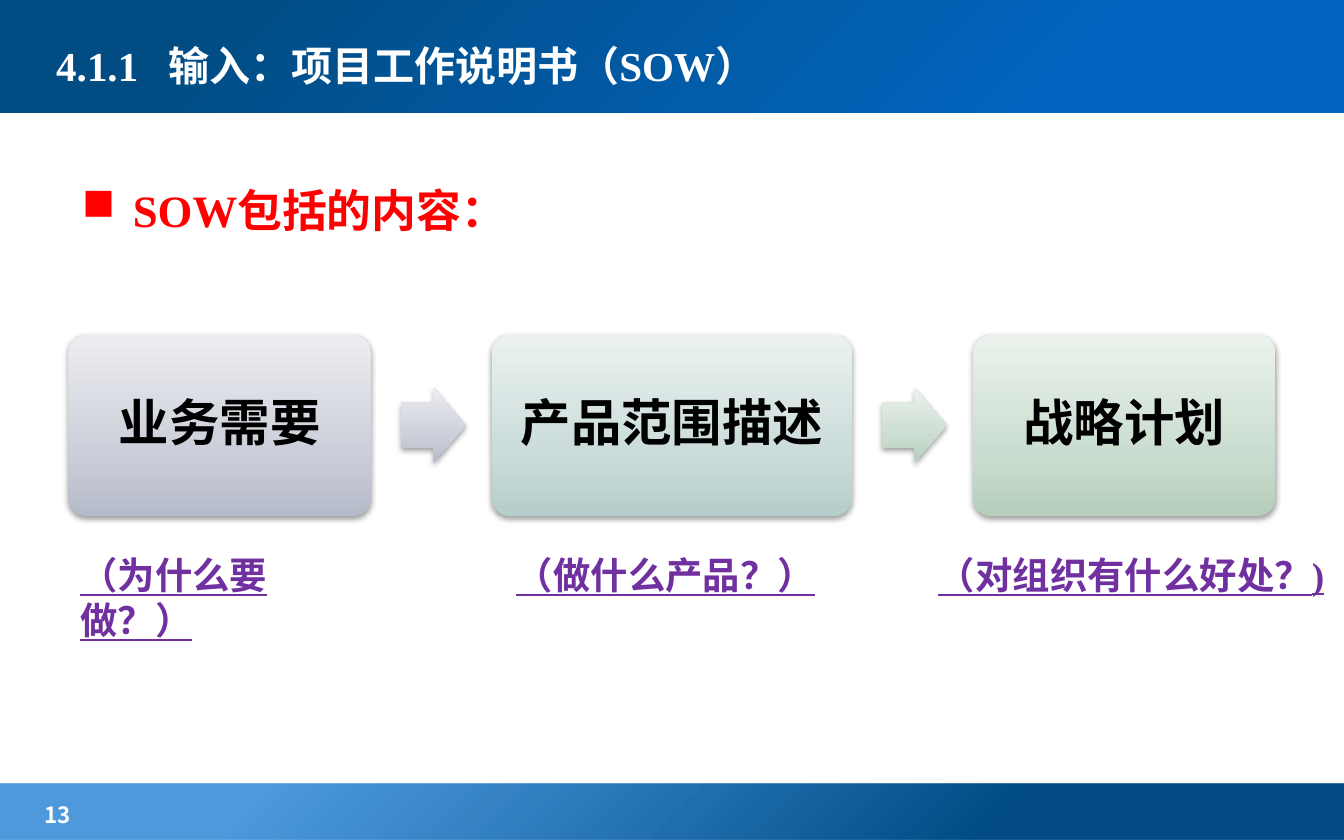
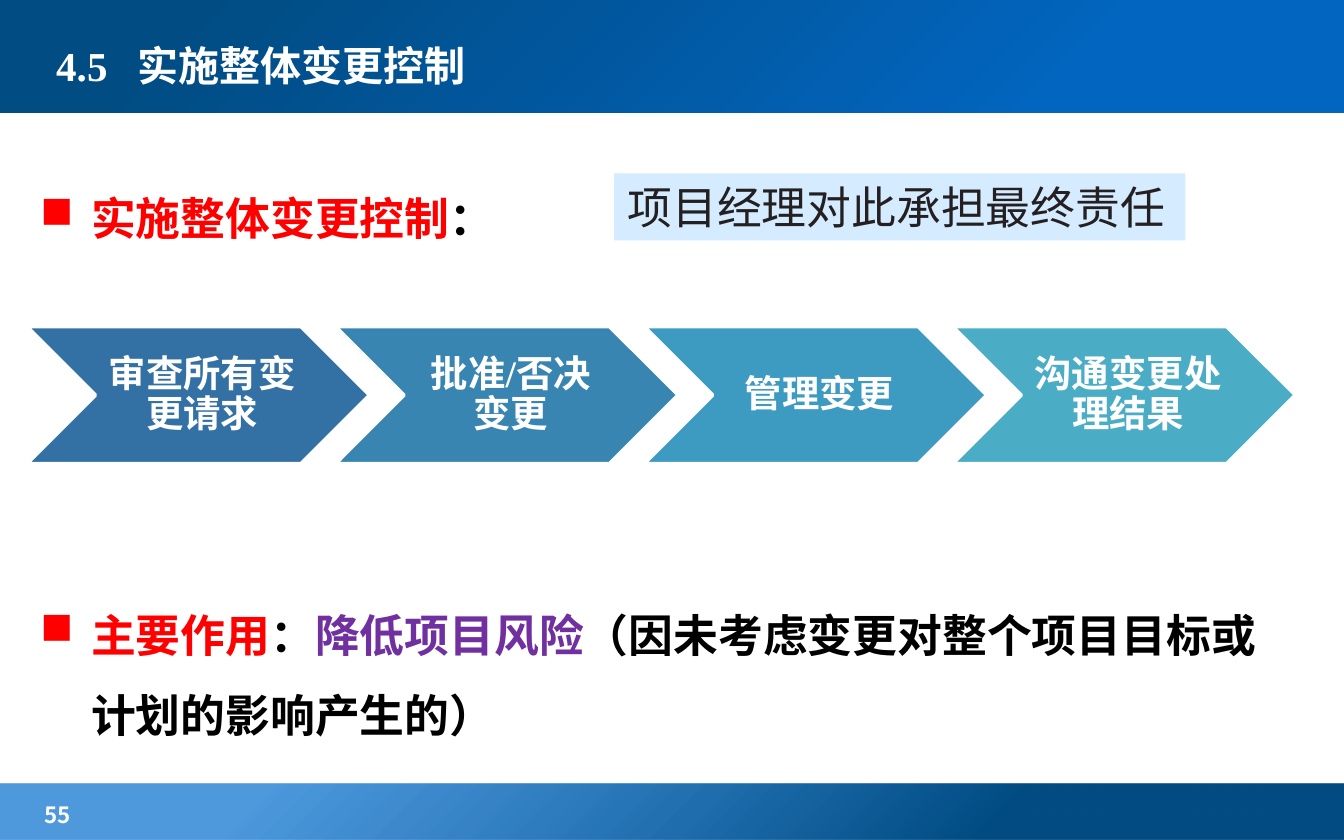
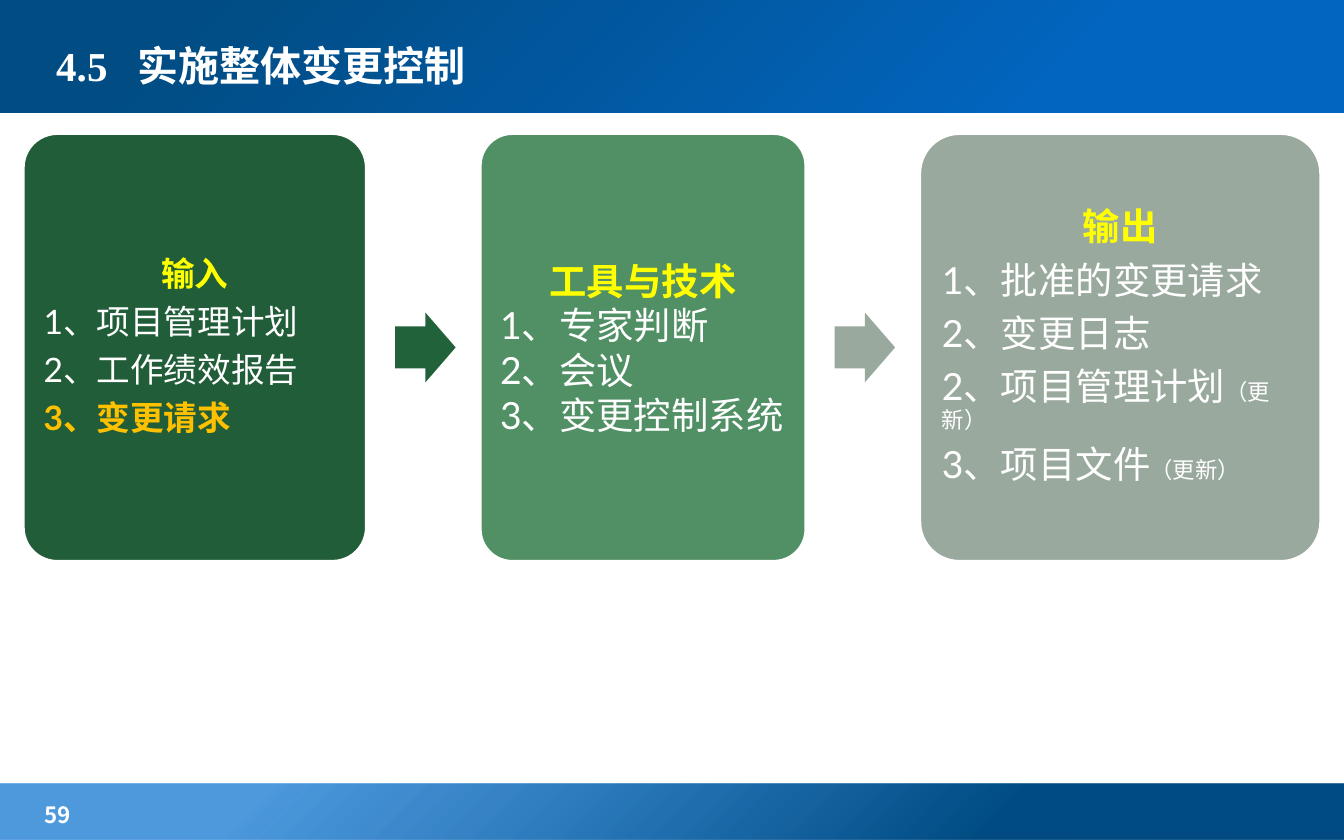
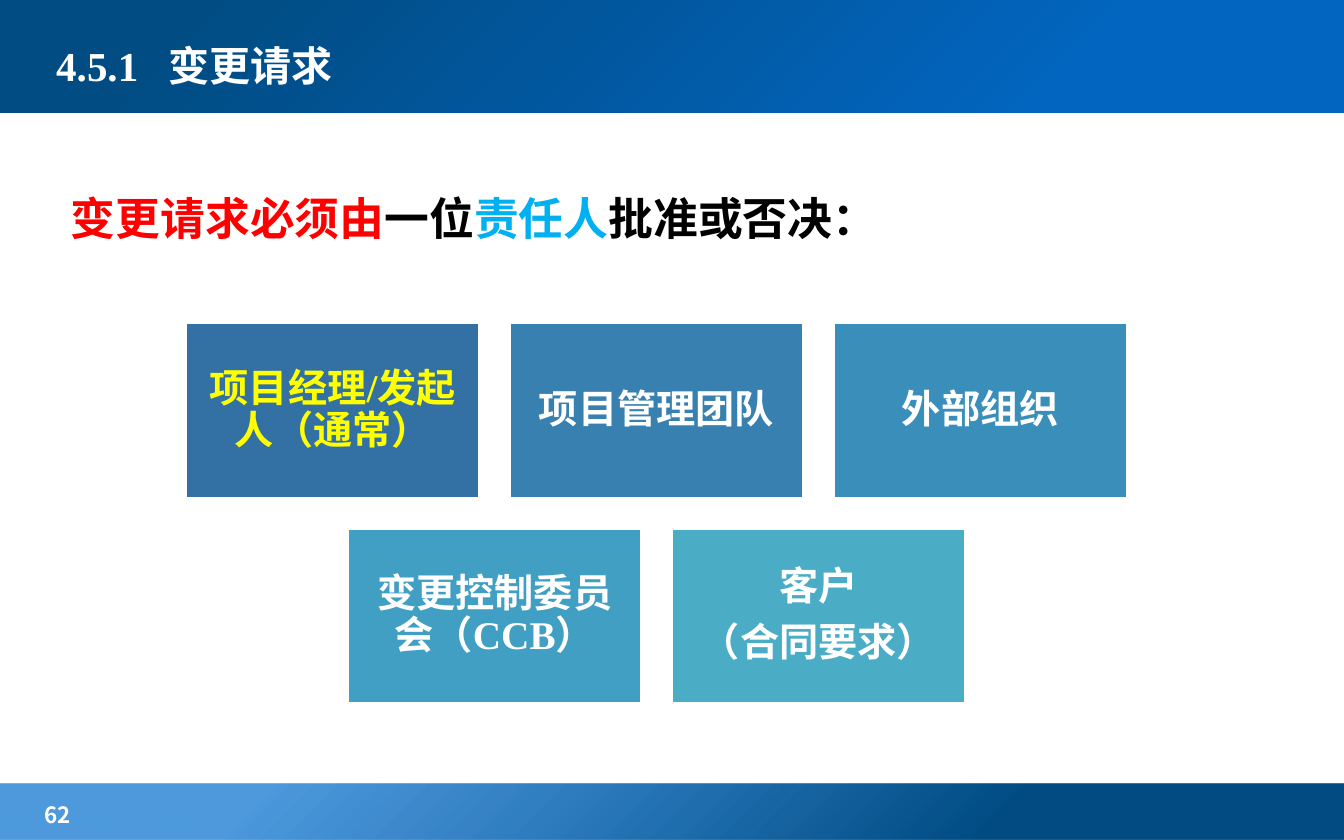
from dataclasses import dataclass

from pptx import Presentation
from pptx.dml.color import RGBColor
from pptx.enum.shapes import MSO_SHAPE as SHAPE
from pptx.enum.text import MSO_ANCHOR as ANCHOR, PP_ALIGN as ALIGN
from pptx.oxml import parse_xml
from pptx.oxml.ns import nsdecls, qn
from pptx.util import Inches, Pt

CELL = Inches(0.1)
COLS, ROWS = 100, 62.5
SERIF, SANS, LATO, CABIN = "Times New Roman", "Noto Sans CJK SC", "Lato", "Cabin"

C = {
    "white": "FFFFFF", "black": "000000", "red": "FF0000", "yellow": "FFFF00",
    "orange": "FFC000", "purple": "7030A0", "sky": "00B0F0", "ink": "242021",
    "navy": "014C83", "blue": "0265BF", "bright": "026DCE", "pale": "D5EBFF",
    "step1": "3371A4", "step2": "3885B2", "step3": "3D9AC1", "step4": "4BACC6",
    "tile2": "3780AF", "tile3": "3A8FBA", "tile4": "409FC3",
    "forest": "215D38", "forest_arrow": "22623B", "green": "519065",
    "grey": "9AA99E", "grey_arrow": "99A99D",
}
CORNER = '<a:path path="circle"><a:fillToRect l="100000" t="100000"/></a:path>'
UPWARD = '<a:lin ang="16200000" scaled="0"/>'
LILAC = [(0, "B6BBCA"), (35, "CCCFD9"), (100, "ECEDF1")]
TEAL = [(0, "B4CECB"), (35, "CBDCDA"), (100, "EBF2F1")]
MINT = [(0, "B5CFBB"), (35, "CBDDD0"), (100, "EBF2ED")]

LEFT = {"alignment": ALIGN.LEFT}
CENTRE = {"alignment": ALIGN.CENTER}
BODY = {"alignment": ALIGN.LEFT, "line_spacing": 1.5}


@dataclass
class Box:
    """A region measured in grid columns and rows."""
    x: float
    y: float
    w: float
    h: float

    def emu(self):
        """Return left, top, width and height as slide lengths."""
        return [int(v * CELL) for v in (self.x, self.y, self.w, self.h)]


def rgb(name):
    """Return the named palette colour."""
    return RGBColor.from_string(C[name])


def tight(align, size):
    """Return the diagram paragraph format for a text size."""
    return {"alignment": align, "line_spacing": 0.9, "space_after": Pt(0.35 * size)}


def write(tf, paras, anchor=ANCHOR.TOP, inset=None, **base):
    """Fill a text frame with (paragraph format, runs) pairs."""
    tf.word_wrap = True
    tf.vertical_anchor = anchor
    if inset is not None:
        for side in ("left", "top", "right", "bottom"):
            setattr(tf, f"margin_{side}", Inches(inset))
    for i, (para, runs) in enumerate(paras):
        p = tf.add_paragraph() if i else tf.paragraphs[0]
        for key, value in para.items():
            setattr(p, key, value)
        for text, changes in runs:
            r = p.add_run()
            r.text = text
            fmt = {"bold": True, "name": SERIF, **base, **changes}
            r.font.color.rgb = rgb(fmt.pop("color"))
            fmt["size"] = Pt(fmt["size"])
            for key, value in fmt.items():
                setattr(r.font, key, value)


def add_text(slide, box, paras, **fmt):
    """Add a text box and return its text frame."""
    tf = slide.shapes.add_textbox(*box.emu()).text_frame
    write(tf, paras, **fmt)
    return tf


def add_gradient(sp, stops, direction):
    """Give a shape a gradient of (position, hex, optional alpha) stops."""
    gs = "".join(
        f'<a:gs pos="{pos * 1000}"><a:srgbClr val="{color}">'
        + "".join(f'<a:alpha val="{a * 1000}"/>' for a in alpha)
        + "</a:srgbClr></a:gs>"
        for pos, color, *alpha in stops)
    sp.fill.background()
    spPr = sp._element.spPr
    spPr.replace(spPr.find(qn("a:noFill")), parse_xml(
        f'<a:gradFill {nsdecls("a")} rotWithShape="1"><a:gsLst>{gs}</a:gsLst>{direction}</a:gradFill>'))


def add_shadow(sp):
    """Add a soft shadow below a shape."""
    sp._element.spPr.find(qn("a:effectLst")).append(parse_xml(
        f'<a:outerShdw {nsdecls("a")} blurRad="40000" dist="20000" dir="5400000" rotWithShape="0">'
        '<a:srgbClr val="000000"><a:alpha val="38000"/></a:srgbClr></a:outerShdw>'))


def add_shape(slide, kind, box, fill, outline=False, adj=(), direction=UPWARD):
    """Add a preset shape with a palette colour or gradient stops as fill."""
    sp = slide.shapes.add_shape(kind, *box.emu())
    sp.shadow.inherit = False
    for i, value in enumerate(adj):
        sp.adjustments[i] = value
    if isinstance(fill, str):
        sp.fill.solid()
        sp.fill.fore_color.rgb = rgb(fill)
    else:
        add_gradient(sp, fill, direction)
    if outline:
        sp.line.color.rgb = rgb("white")
        sp.line.width = Pt(2)
    else:
        sp.line.fill.background()
    return sp


def add_bullet(p):
    """Give a paragraph a square bullet with a hanging indent."""
    pPr = p._p.get_or_add_pPr()
    pPr.set("marL", str(Inches(0.38)))
    pPr.set("indent", str(-Inches(0.38)))
    pPr.append(parse_xml(f'<a:buChar {nsdecls("a")} char="■"/>'))


def add_frame(prs, section, title, page, width=63.8):
    """Add a slide with its bands, title and page number."""
    slide = prs.slides.add_slide(prs.slide_layouts[6])
    add_shape(slide, SHAPE.RECTANGLE, Box(0, 58.3, COLS, ROWS - 58.3),
              [(26, C["navy"]), (80, C["bright"], 70)], direction=CORNER)
    add_shape(slide, SHAPE.RECTANGLE, Box(0, -0.3, COLS, 8.7),
              [(21, C["blue"]), (86, C["navy"])], direction=CORNER)
    tf = add_text(slide, Box(2, 59.1, 15.7, 2.6), [(LEFT, [(str(page), {})])],
                  size=12, name=SANS, color="white")
    tf.margin_left = Inches(0.13)
    tf = add_text(slide, Box(3.2, 1.3, width, 7.1), [(LEFT, [(f"{section}\t{title}", {})])],
                  anchor=ANCHOR.MIDDLE, size=22, color="white")
    stop = Inches(0.26 + 0.115 * len(section))
    tf.paragraphs[0]._p.get_or_add_pPr().append(parse_xml(
        f'<a:tabLst {nsdecls("a")}><a:tab pos="{stop}" algn="l"/></a:tabLst>'))
    return slide


def add_flow(slide, box, cards, gap, arrow_w, arrow_h, outline=False, shadow=False):
    """Lay out (width, fill, arrow fill, text format) cards joined by block arrows."""
    x = box.x
    for i, (width, fill, arrow_fill, text) in enumerate(cards):
        shapes = [add_shape(slide, SHAPE.ROUNDED_RECTANGLE, Box(x, box.y, width, box.h),
                            fill, outline, adj=[0.1])]
        write(shapes[0].text_frame, anchor=ANCHOR.MIDDLE, **text)
        x += width
        if i < len(cards) - 1:
            arrow = Box(x + gap / 4, box.y + (box.h - arrow_h) / 2, arrow_w, arrow_h)
            shapes.append(add_shape(slide, SHAPE.RIGHT_ARROW, arrow, arrow_fill, adj=[0.6, 0.5]))
        if shadow:
            for sp in shapes:
                add_shadow(sp)
        x += gap


def add_chevrons(slide, box, steps):
    """Fill a box with overlapping chevrons for (text, fill) steps."""
    width = box.w / (1 + 0.9 * (len(steps) - 1))
    for i, (text, fill) in enumerate(steps):
        sp = add_shape(slide, SHAPE.CHEVRON, Box(box.x + 0.9 * width * i, box.y, width, box.h),
                       fill, outline=True)
        write(sp.text_frame, [(tight(ALIGN.CENTER, 20), [(text, {})])], anchor=ANCHOR.MIDDLE,
              inset=0.03, size=20, color="white")
        sp.text_frame.margin_left = Inches(0.09)


def add_tiles(slide, box, rows, tile_w, tile_h):
    """Centre rows of (lines, fill, text colour) tiles in a box."""
    gap = tile_w / 10
    for j, row in enumerate(rows):
        x = box.x + (box.w - len(row) * (tile_w + gap) + gap) / 2
        for i, (lines, fill, color) in enumerate(row):
            tile = Box(x + i * (tile_w + gap), box.y + j * (tile_h + gap), tile_w, tile_h)
            sp = add_shape(slide, SHAPE.RECTANGLE, tile, fill, outline=True)
            write(sp.text_frame, [(tight(ALIGN.CENTER, 21), [(line, {})]) for line in lines],
                  anchor=ANCHOR.MIDDLE, inset=0.09, size=21, color=color)


def list_text(size, head, items, spaced=True):
    """Return the text format of a card with a heading and a list."""
    def para(align):
        """Return the paragraph format for an alignment."""
        return tight(align, size) if spaced else {"alignment": align}
    paras = [(para(ALIGN.CENTER), [(head, {"color": "yellow", "bold": True})])]
    paras += [(para(ALIGN.LEFT), runs) for runs in items]
    return {"paras": paras, "inset": 0.08, "size": size, "name": LATO,
            "color": "white", "bold": False}


def sow_slide(prs):
    """Build the slide on the statement of work."""
    slide = add_frame(prs, "4.1.1", "输入：项目工作说明书（SOW）", 13)
    tf = add_text(slide, Box(5.1, 11.1, 89.8, 39), [(BODY, [("SOW包括的内容：", {})])],
                  size=24, color="red")
    add_bullet(tf.paragraphs[0])
    cards = [(width, fill, arrow, {
        "paras": [(tight(ALIGN.CENTER, 27), [(text, {})])],
        "inset": 0.11, "size": 27, "color": "black"})
        for text, width, fill, arrow in [("业务需要", 22.5, LILAC, LILAC),
                                         ("产品范围描述", 26.8, TEAL, MINT),
                                         ("战略计划", 22.5, MINT, None)]]
    add_flow(slide, Box(5.1, 24.9, 89.8, 13.5), cards, 9, 4.8, 5.6, shadow=True)
    for x, width, text in [(5, 22.8, "（为什么要做？）"), (37.4, 54.5, "（做什么产品？）"),
                           (68.8, 31.1, "（对组织有什么好处？)")]:
        add_text(slide, Box(x, 40.6, width, 4.4), [(LEFT, [(text, {})])],
                 size=20, color="purple", underline=True)


def change_process_slide(prs):
    """Build the slide on the steps of change control."""
    slide = add_frame(prs, "4.5", "实施整体变更控制", 55)
    red, purple = {"color": "red"}, {"color": "purple"}
    tf = add_text(slide, Box(2, 11.7, 94.6, 39), [
        (BODY, [("实施整体变更控制", red), ("：", {})]),
        ({**BODY, "space_before": Pt(180)},
         [("主要作用", red), ("：", {}), ("降低项目风险", purple),
          ("（因未考虑变更对整个项目目标或计划的影响产生的）", {})]),
    ], size=24, color="black")
    for p in tf.paragraphs:
        add_bullet(p)
    add_chevrons(slide, Box(2, 24.3, 94.4, 10.2), [
        ("审查所有变更请求", "step1"), ("批准/否决变更", "step2"),
        ("管理变更", "step3"), ("沟通变更处理结果", "step4")])
    note = add_shape(slide, SHAPE.RECTANGLE, Box(45.7, 12.9, 42.5, 5), "pale")
    write(note.text_frame, [(LEFT, [("项目经理对此承担最终责任", {})])],
          size=24, name=CABIN, color="ink", bold=False)


def change_flow_slide(prs):
    """Build the slide on inputs, tools and outputs."""
    slide = add_frame(prs, "4.5", "实施整体变更控制", 59)
    update = ("（更新）", {"size": 12})
    inputs = list_text(18, "输入", [
        [("1、项目管理计划", {})], [("2、工作绩效报告", {})],
        [("3、变更请求", {"color": "orange", "bold": True})]])
    tools = list_text(20, "工具与技术", [
        [("1、专家判断", {})], [("2、会议", {})], [("3、变更控制系统", {})]], spaced=False)
    outputs = list_text(20, "输出", [
        [("1、批准的变更请求", {})], [("2、变更日志", {})],
        [("2、项目管理计划", {}), update], [("3、项目文件", {}), update]])
    add_flow(slide, Box(1.7, 9.9, 96.6, 31.9), [
        (25.6, "forest", "forest_arrow", inputs),
        (24.3, "green", "grey_arrow", tools),
        (29.9, "grey", None, outputs)], 8.4, 4.5, 5.2, outline=True)


def change_request_slide(prs):
    """Build the slide on who decides a change request."""
    slide = add_frame(prs, "4.5.1", "变更请求", 62, width=72.8)
    add_text(slide, Box(4.3, 11.7, 95.7, 39), [
        (BODY, [("变更请求必须由", {"color": "red"}), ("一位", {}),
                ("责任人", {"color": "sky"}), ("批准或否决：", {})])],
        size=24, color="black")
    add_tiles(slide, Box(13.8, 24, 70.1, 28.4), [
        [(["项目经理/发起人（通常）"], "step1", "yellow"),
         (["项目管理团队"], "tile2", "white"),
         (["外部组织"], "tile3", "white")],
        [(["变更控制委员会（CCB）"], "tile4", "white"),
         (["客户", "（合同要求）"], "step4", "white")]], 21.9, 13.1)


def main():
    """Build and save the deck."""
    prs = Presentation()
    prs.slide_width, prs.slide_height = int(COLS * CELL), int(ROWS * CELL)
    for build in (sow_slide, change_process_slide, change_flow_slide, change_request_slide):
        build(prs)
    prs.save("out.pptx")


if __name__ == "__main__":
    main()
